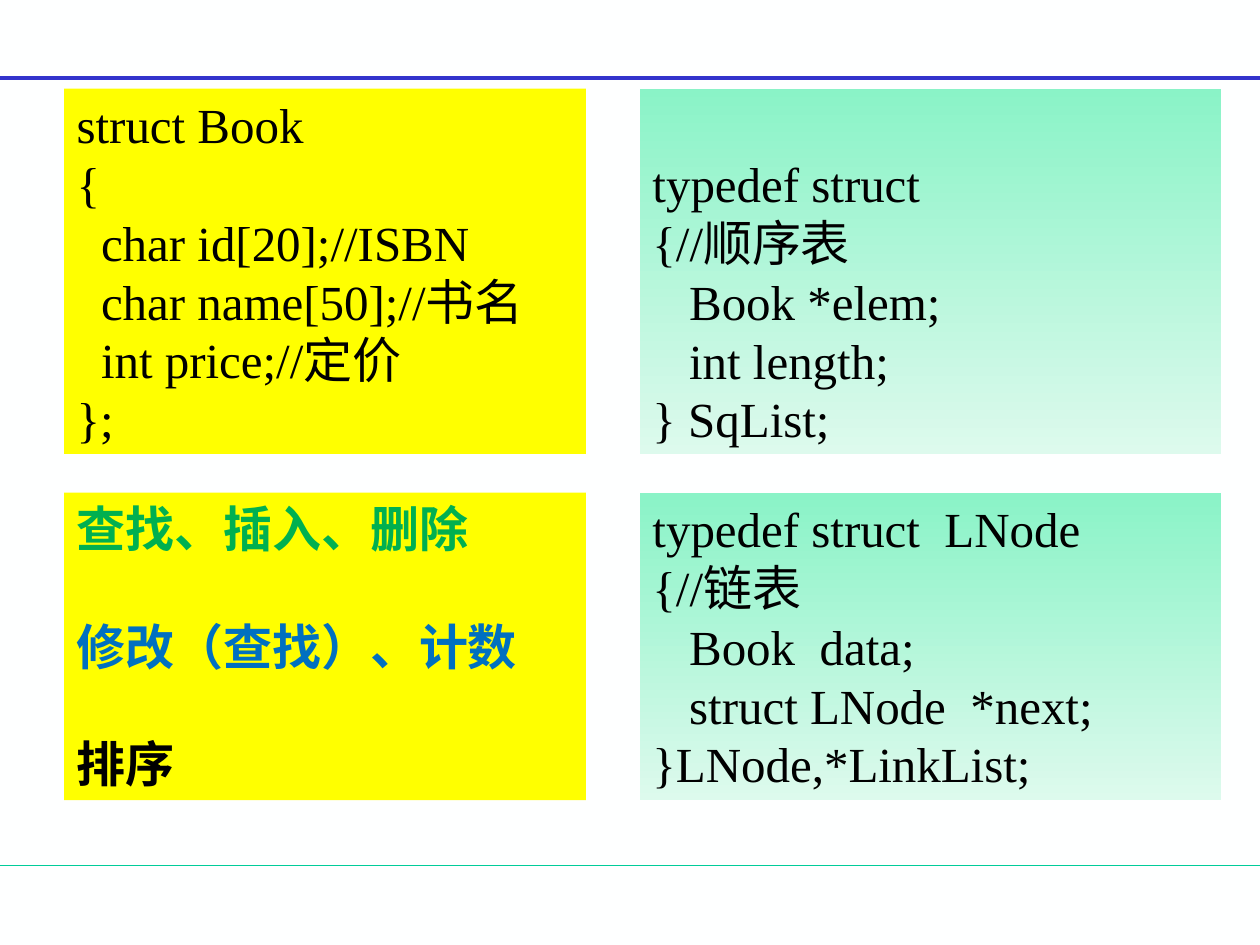
from lxml import etree
from pptx import Presentation
from pptx.dml.color import RGBColor
from pptx.enum.shapes import MSO_CONNECTOR, MSO_SHAPE
from pptx.enum.text import MSO_ANCHOR, PP_ALIGN
from pptx.oxml.ns import qn
from pptx.util import Inches, Pt

RECTANGLE = MSO_SHAPE.RECTANGLE
STRAIGHT = MSO_CONNECTOR.STRAIGHT
TOP, BOTTOM = MSO_ANCHOR.TOP, MSO_ANCHOR.BOTTOM
LEFT = PP_ALIGN.LEFT

COLORS = {
    "paper": "FEFFFF", "ink": "000000", "yellow": "FFFF00",
    "mint": "8AF3C7", "pale mint": "DDFAED",
    "header": "3333CC", "footer": "00CC99",
    "green": "00B050", "blue": "0070C0",
}
LATIN, CHINESE = "Times New Roman", "Noto Sans CJK SC"
TEXT_SIZE, LINE_PITCH = 28, 33.6
COLUMNS = [(0.051, 0.414), (0.508, 0.461)]
ROWS = [(0.0937, 0.3867), (0.5213, 0.3253)]

BOOK = """struct Book
{
  char id[20];//ISBN
  char name[50];//书名
  int price;//定价
};"""
SEQUENTIAL_LIST = """typedef struct
{//顺序表
   Book *elem;
   int length;
} SqList;"""
LINKED_LIST = """typedef struct  LNode
{//链表
   Book  data;
   struct LNode  *next;
}LNode,*LinkList;"""
OPERATIONS = [("查找、插入、删除", "green"), ("修改（查找）、计数", "blue"), ("排序", "ink")]


def rgb(color):
    return RGBColor.from_string(COLORS[color])


def write(paragraph, text, font=LATIN, color="ink", bold=False, before=0):
    paragraph.alignment = LEFT
    paragraph.line_spacing = Pt(LINE_PITCH)
    paragraph.space_before = Pt(before)
    run = paragraph.add_run()
    run.text = text
    run.font.size = Pt(TEXT_SIZE)
    run.font.bold = bold
    run.font.color.rgb = rgb(color)
    run.font.name = font
    east_asian = etree.SubElement(run.font._element, qn("a:ea"))
    east_asian.set("typeface", CHINESE)


class SlideBuilder:
    def __init__(self, presentation):
        self.width = presentation.slide_width
        self.height = presentation.slide_height
        self.slide = presentation.slides.add_slide(presentation.slide_layouts[6])
        background = self.slide.background.fill
        background.solid()
        background.fore_color.rgb = rgb("paper")

    def rule(self, share, color, weight):
        y = int(self.height * share)
        line = self.slide.shapes.add_connector(STRAIGHT, 0, y, self.width, y)
        line.line.color.rgb = rgb(color)
        line.line.width = Pt(weight)
        etree.SubElement(line._element.spPr, qn("a:effectLst"))

    def panel(self, column, row, fill, anchor=TOP):
        (left, width), (top, height) = COLUMNS[column], ROWS[row]
        panel = self.slide.shapes.add_shape(
            RECTANGLE, int(self.width * left), int(self.height * top),
            int(self.width * width), int(self.height * height))
        panel.shadow.inherit = False
        panel.line.fill.background()
        if len(fill) == 1:
            panel.fill.solid()
            panel.fill.fore_color.rgb = rgb(fill[0])
        else:
            panel.fill.gradient()
            panel.fill.gradient_angle = 270
            for position, (stop, color) in enumerate(zip(panel.fill.gradient_stops, fill)):
                stop.color.rgb = rgb(color)
                stop.position = position
        frame = panel.text_frame
        frame.word_wrap = True
        frame.vertical_anchor = anchor
        return frame

    def lines(self, frame, entries, gap=0, **style):
        for index, (text, color) in enumerate(entries):
            paragraph = frame.add_paragraph() if index else frame.paragraphs[0]
            write(paragraph, text, color=color, before=gap if index else 0, **style)

    def code(self, column, row, source, fill, anchor=TOP):
        frame = self.panel(column, row, fill, anchor)
        self.lines(frame, [(line, "ink") for line in source.splitlines()])

    def topics(self, column, row, entries, fill):
        frame = self.panel(column, row, fill)
        self.lines(frame, entries, gap=LINE_PITCH, font=CHINESE, bold=True)


def main():
    presentation = Presentation()
    presentation.slide_width, presentation.slide_height = Inches(10), Inches(7.5)
    builder = SlideBuilder(presentation)
    mint_fade = ("mint", "pale mint")
    builder.rule(0.916, "footer", 0.75)
    builder.rule(0.0827, "header", 2.25)
    builder.code(0, 0, BOOK, ("yellow",))
    builder.code(1, 0, SEQUENTIAL_LIST, mint_fade, BOTTOM)
    builder.code(1, 1, LINKED_LIST, mint_fade)
    builder.topics(0, 1, OPERATIONS, ("yellow",))
    presentation.save("out.pptx")


if __name__ == "__main__":
    main()
